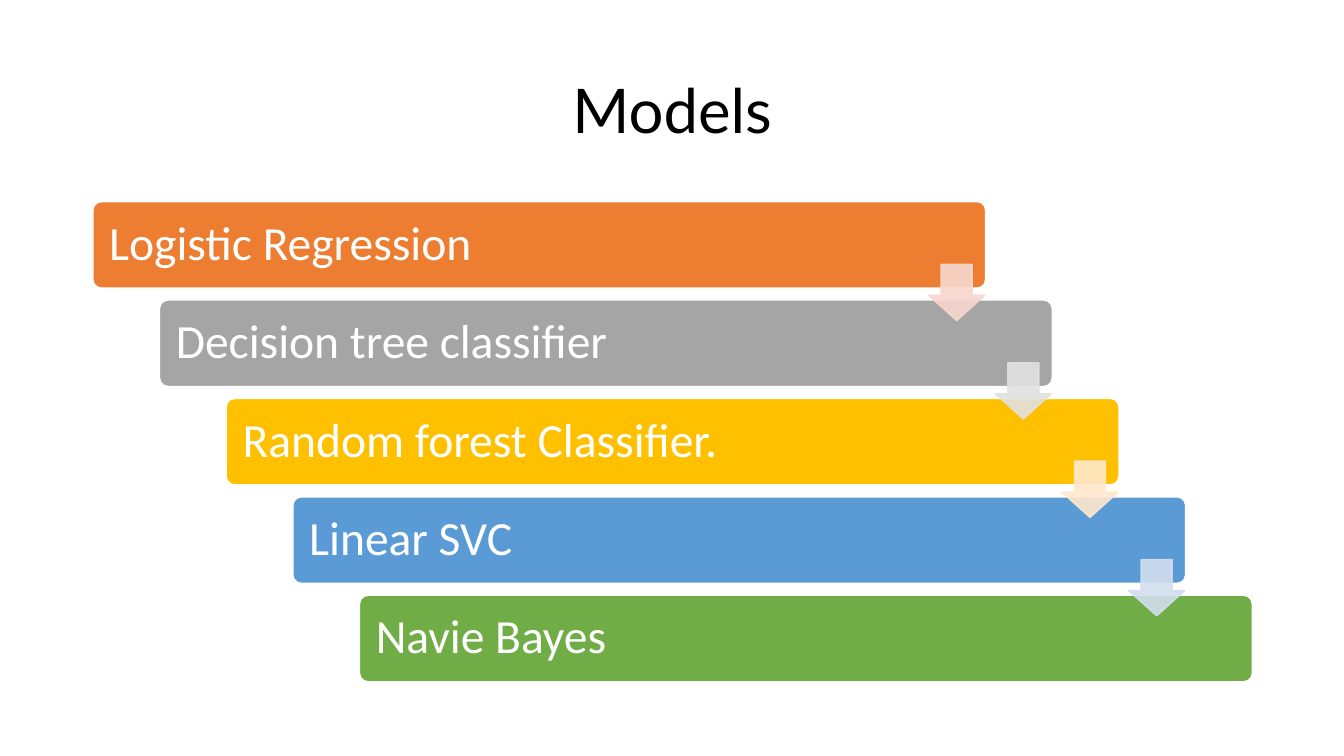
from dataclasses import dataclass

from lxml import etree
from pptx import Presentation
from pptx.dml.color import RGBColor
from pptx.enum.shapes import MSO_SHAPE
from pptx.enum.text import MSO_ANCHOR, PP_ALIGN
from pptx.oxml.ns import qn
from pptx.shapes.autoshape import Shape
from pptx.slide import Slide
from pptx.util import Cm, Pt

ROUNDED = MSO_SHAPE.ROUNDED_RECTANGLE
DOWN_ARROW = MSO_SHAPE.DOWN_ARROW
MIDDLE = MSO_ANCHOR.MIDDLE
LEFT = PP_ALIGN.LEFT
CENTER = PP_ALIGN.CENTER

STEP_X, STEP_Y = 1.68, 2.48
BAR_LEFT, BAR_TOP, BAR_WIDTH, BAR_HEIGHT = 2.34, 5.08, 22.5, 2.18
ARROW_LEFT, ARROW_TOP, ARROW_SIZE = 23.4, 6.66, 1.42
ARROW_OPACITY = 90


@dataclass(frozen=True)
class Model:
    name: str
    color: str


MODELS = [
    Model("Logistic Regression", "ED7D31"),
    Model("Decision tree classifier", "A5A5A5"),
    Model("Random forest Classifier.", "FFC000"),
    Model("Linear SVC", "5B9BD5"),
    Model("Navie Bayes", "70AD47"),
]
ARROW_COLORS = ["F8D7CE", "E1E1E1", "FFE8CC", "D2DEEF"]


def rgb(color: str) -> RGBColor:
    return RGBColor.from_string(color)


def paint(shape: Shape, fill: str, line: str) -> None:
    shape.shadow.inherit = False
    shape.fill.solid()
    shape.fill.fore_color.rgb = rgb(fill)
    shape.line.color.rgb = rgb(line)
    shape.line.width = Pt(1)


def set_opacity(shape: Shape, percent: int) -> None:
    for color in shape._element.spPr.iter(qn("a:srgbClr")):
        etree.SubElement(color, qn("a:alpha"), val=str(percent * 1000))


def write(shape: Shape, text: str, font: str, size: int, color: str,
          alignment: PP_ALIGN) -> None:
    frame = shape.text_frame
    frame.word_wrap = True
    frame.vertical_anchor = MIDDLE
    paragraph = frame.paragraphs[0]
    paragraph.alignment = alignment
    paragraph.line_spacing = 0.9
    run = paragraph.add_run()
    run.text = text
    run.font.name = font
    run.font.size = Pt(size)
    run.font.color.rgb = rgb(color)


def add_title(slide: Slide, text: str) -> None:
    title = slide.shapes.add_textbox(Cm(2.34), Cm(1.02), Cm(29.2), Cm(3.68))
    write(title, text, "Lato", 44, "000000", CENTER)


def add_bar(slide: Slide, index: int, model: Model) -> None:
    bar = slide.shapes.add_shape(
        ROUNDED, Cm(BAR_LEFT + index * STEP_X), Cm(BAR_TOP + index * STEP_Y),
        Cm(BAR_WIDTH), Cm(BAR_HEIGHT))
    bar.adjustments[0] = 0.1
    paint(bar, model.color, "FFFFFF")
    bar.text_frame.margin_left = Cm(0.35)
    write(bar, model.name, "Calibri", 34, "FFFFFF", LEFT)


def add_arrow(slide: Slide, index: int, color: str) -> None:
    arrow = slide.shapes.add_shape(
        DOWN_ARROW, Cm(ARROW_LEFT + index * STEP_X),
        Cm(ARROW_TOP + index * STEP_Y), Cm(ARROW_SIZE), Cm(ARROW_SIZE))
    arrow.adjustments[0] = 0.55
    arrow.adjustments[1] = 0.45
    paint(arrow, color, color)
    set_opacity(arrow, ARROW_OPACITY)


def main() -> None:
    presentation = Presentation()
    presentation.slide_width = Cm(33.87)
    presentation.slide_height = Cm(19.05)
    slide = presentation.slides.add_slide(presentation.slide_layouts[6])
    add_title(slide, "Models")
    for index, model in enumerate(MODELS):
        add_bar(slide, index, model)
    for index, color in enumerate(ARROW_COLORS):
        add_arrow(slide, index, color)
    presentation.save("out.pptx")


if __name__ == "__main__":
    main()
